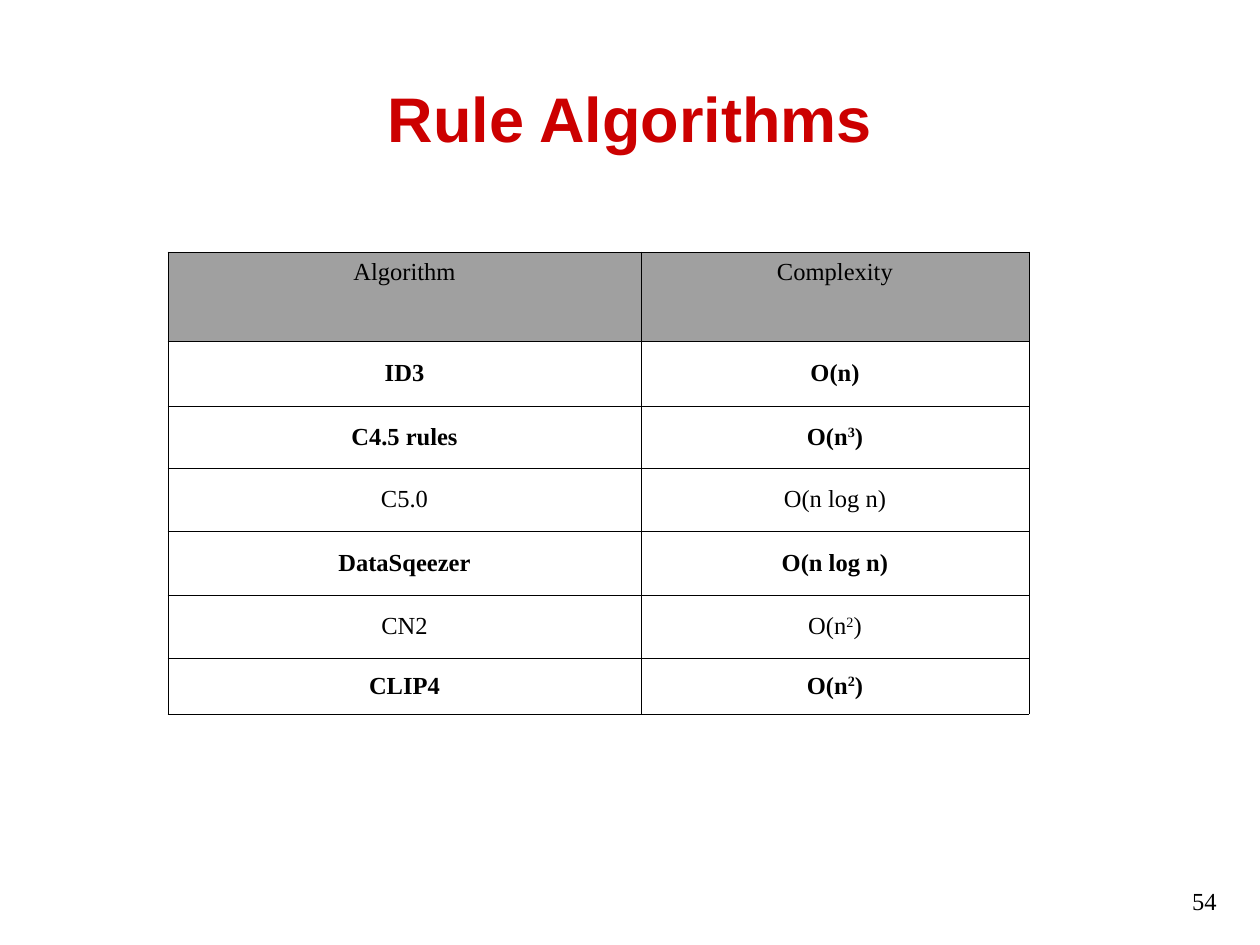
from dataclasses import dataclass

from lxml import etree
from pptx import Presentation
from pptx.dml.color import RGBColor
from pptx.enum.text import MSO_ANCHOR, PP_ALIGN
from pptx.oxml.ns import qn
from pptx.util import Pt

EMU_PER_PX = 914400 / 126
TOP, MIDDLE = MSO_ANCHOR.TOP, MSO_ANCHOR.MIDDLE
CENTER, RIGHT = PP_ALIGN.CENTER, PP_ALIGN.RIGHT
BLACK, WHITE, GRAY, RED = "000000", "FFFFFF", "A0A0A0", "CC0000"
BORDER_POINTS = 0.45
COLUMN_WIDTHS = (473, 388)


@dataclass(frozen=True)
class TextStyle:
    font: str
    size: int
    color: str
    bold: bool = False


@dataclass(frozen=True)
class TableRow:
    height: int
    algorithm: str
    complexity: str
    bold: bool = False
    header: bool = False


ROWS = (
    TableRow(89, "Algorithm", "Complexity", header=True),
    TableRow(65, "ID3", "O(n)", bold=True),
    TableRow(62, "C4.5 rules", "O(n^3^)", bold=True),
    TableRow(63, "C5.0", "O(n log n)"),
    TableRow(64, "DataSqeezer", "O(n log n)", bold=True),
    TableRow(63, "CN2", "O(n^2^)"),
    TableRow(56, "CLIP4", "O(n^2^)", bold=True),
)


def px(length: int) -> int:
    return round(length * EMU_PER_PX)


def rgb(color: str) -> RGBColor:
    return RGBColor.from_string(color)


def write(para, text: str, style: TextStyle, align) -> None:
    para.alignment = align
    for index, part in enumerate(text.split("^")):
        span = para.add_run()
        span.text = part
        span.font.name = style.font
        span.font.size = Pt(style.size)
        span.font.bold = style.bold
        span.font.color.rgb = rgb(style.color)
        if index % 2:
            span._r.get_or_add_rPr().set("baseline", "30000")


def add_text(page, left: int, top: int, width: int, height: int,
             text: str, style: TextStyle, align, anchor) -> None:
    box = page.shapes.add_textbox(px(left), px(top), px(width), px(height))
    frame = box.text_frame
    frame.word_wrap = True
    frame.vertical_anchor = anchor
    write(frame.paragraphs[0], text, style, align)


def add_borders(cell) -> None:
    properties = cell._tc.get_or_add_tcPr()
    for index, side in enumerate(("lnL", "lnR", "lnT", "lnB")):
        line = etree.Element(qn(f"a:{side}"), w=str(Pt(BORDER_POINTS)))
        fill = etree.SubElement(line, qn("a:solidFill"))
        etree.SubElement(fill, qn("a:srgbClr"), val=BLACK)
        properties.insert(index, line)


def add_algorithm_table(page, left: int, top: int) -> None:
    width = sum(COLUMN_WIDTHS)
    height = sum(row.height for row in ROWS)
    table = page.shapes.add_table(len(ROWS), len(COLUMN_WIDTHS), px(left),
                                  px(top), px(width), px(height)).table
    table.first_row = False
    table.horz_banding = False
    for column, column_width in zip(table.columns, COLUMN_WIDTHS):
        column.width = px(column_width)
    for row_index, row in enumerate(ROWS):
        table.rows[row_index].height = px(row.height)
        style = TextStyle("Times New Roman", 14, BLACK, row.bold)
        for column_index, text in enumerate((row.algorithm, row.complexity)):
            cell = table.cell(row_index, column_index)
            cell.fill.solid()
            cell.fill.fore_color.rgb = rgb(GRAY if row.header else WHITE)
            cell.vertical_anchor = TOP if row.header else MIDDLE
            write(cell.text_frame.paragraphs[0], text, style, CENTER)
            add_borders(cell)


def main() -> None:
    deck = Presentation()
    deck.slide_width, deck.slide_height = px(1260), px(945)
    page = deck.slides.add_slide(deck.slide_layouts[6])
    add_text(page, 63, 38, 1134, 158, "Rule Algorithms",
             TextStyle("Arial", 36, RED, True), CENTER, MIDDLE)
    add_algorithm_table(page, 168, 252)
    add_text(page, 935, 880, 294, 65, "54",
             TextStyle("Times New Roman", 14, BLACK), RIGHT, TOP)
    deck.save("out.pptx")


if __name__ == "__main__":
    main()
